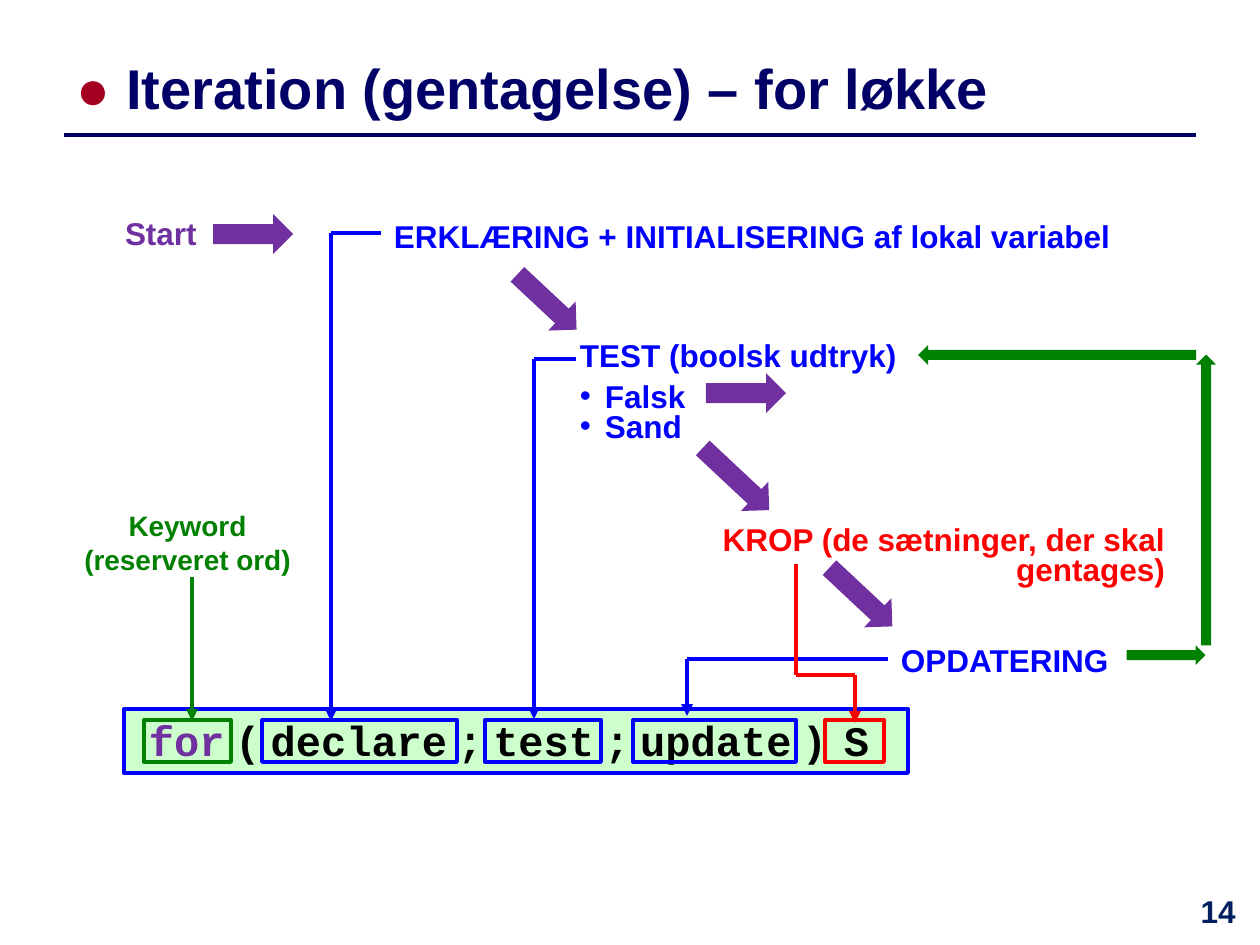
import pptx
import pptx.dml.color
import pptx.enum.shapes
import pptx.enum.text
import pptx.oxml.ns
import pptx.util
from lxml import etree

EMU_PER_PX = 914400 / 126
BLUE, RED, GREEN, PURPLE, NAVY = "0000FF", "FF0000", "008000", "7030A0", "000066"
BLACK = "000000"

# Each label: paragraphs, box (left, top, width, height), format
LABELS = [
    ([[("14", {})]], (1176, 882, 84, 63), dict(color="002060", align="CENTER")),
    ([[("TEST (boolsk udtryk)", {})], [("Falsk", {})], [("Sand", {})]],
     (567, 326, 496, 121), dict(color=BLUE, bullets=True)),
    ([[("KROP (de sætninger, der skal gentages)", {})]],
     (699, 517, 479, 87), dict(color=RED, align="RIGHT", spacing=0.8)),
    ([[("OPDATERING", {})]], (888, 631, 258, 49), dict(color=BLUE)),
    ([[("ERKLÆRING + INITIALISERING af lokal variabel", {})]],
     (381, 207, 746, 50), dict(color=BLUE)),
    ([[("Keyword (reserveret ord)", {})]],
     (66, 499, 243, 87), dict(color=GREEN, size=16, align="CENTER")),
    ([[("Start", {})]], (112, 204, 118, 49), dict(color=PURPLE)),
]
TITLE = [[("● ", {"color": "A50021"}), ("Iteration (gentagelse) – for løkke", {})]]

# Tokens of the for statement, with the size of the gap after each
TOKENS = [("for", 10), ("(", 10), ("declare", 10), (";", 10), ("test", 10),
          (";", 10), ("update", 10), (")", 16), ("S", 0)]

# Frames around the tokens: left, width, colour
FRAMES = [(144, 87, GREEN), (262, 195, BLUE), (485, 116, BLUE),
          (633, 163, BLUE), (825, 59, RED)]
FRAME_TOP, FRAME_HEIGHT = 720, 42

# Routes from the explanations down to the tokens
ROUTES = [
    (BLUE, [(381, 233), (331, 233), (331, 721)]),
    (BLUE, [(576, 359), (534, 359), (534, 719)]),
    (BLUE, [(888, 659), (687, 659), (687, 716)]),
    (RED, [(796, 564), (796, 675), (855, 675), (855, 723)]),
    (GREEN, [(192, 577), (192, 721)]),
]

# Block arrows: centre x, centre y, thickness, length, rotation, colour
RIGHT, LEFT, UP, DIAGONAL = 270, 90, 180, 313.1
BLOCK_ARROWS = [
    (253, 234, 40, 80, RIGHT, PURPLE),
    (547, 302, 40, 81, DIAGONAL, PURPLE),
    (746, 393, 40, 80, RIGHT, PURPLE),
    (736, 479, 40, 91, DIAGONAL, PURPLE),
    (861, 597, 40, 86, DIAGONAL, PURPLE),
    (1166, 655, 20, 79, RIGHT, GREEN),
    (1206, 500, 20, 291, UP, GREEN),
    (1057, 355, 20, 278, LEFT, GREEN),
]


def px(value):
    return pptx.util.Emu(round(value * EMU_PER_PX))


def rgb(value):
    return pptx.dml.color.RGBColor.from_string(value)


def add_child(parent, tag, **attributes):
    return etree.SubElement(parent, pptx.oxml.ns.qn(tag), attributes)


def write_text(shape, paragraphs, color=BLACK, size=18, font="Arial", align="LEFT",
               spacing=None, bullets=False, anchor="TOP", left=13, top=10):
    frame = shape.text_frame
    frame.word_wrap = True
    frame.vertical_anchor = getattr(pptx.enum.text.MSO_ANCHOR, anchor)
    frame.margin_left, frame.margin_right = px(left), px(13)
    frame.margin_top, frame.margin_bottom = px(top), px(6)
    for index, runs in enumerate(paragraphs):
        para = frame.add_paragraph() if index else frame.paragraphs[0]
        para.alignment = getattr(pptx.enum.text.PP_ALIGN, align)
        if spacing:
            para.line_spacing = spacing
        if bullets and index:
            para.line_spacing = 0.8
            para.space_before = pptx.util.Pt(6 if index == 1 else 0)
            properties = para._p.get_or_add_pPr()
            properties.set("marL", str(px(25)))
            properties.set("indent", str(px(-25)))
            add_child(properties, "a:buFont", typeface="Arial")
            add_child(properties, "a:buChar", char="•")
        for text, style in runs:
            span = para.add_run()
            span.text = text
            span.font.name = font
            span.font.bold = True
            span.font.size = pptx.util.Pt(style.get("size", size))
            span.font.color.rgb = rgb(style.get("color", color))


def add_label(page, paragraphs, bounds, **style):
    box = page.shapes.add_textbox(*map(px, bounds))
    write_text(box, paragraphs, **style)


def add_shape(page, preset, bounds, fill=None, line=None):
    kind = getattr(pptx.enum.shapes.MSO_SHAPE, preset)
    shape = page.shapes.add_shape(kind, *map(px, bounds))
    shape.shadow.inherit = False
    if fill:
        shape.fill.solid()
        shape.fill.fore_color.rgb = rgb(fill)
    else:
        shape.fill.background()
    if line:
        shape.line.color.rgb = rgb(line)
        shape.line.width = pptx.util.Pt(2.25)
    else:
        shape.line.fill.background()
    return shape


def add_line(page, start, end, color, width=2.25, arrow=False):
    line = page.shapes.add_connector(
        pptx.enum.shapes.MSO_CONNECTOR.STRAIGHT, *map(px, start + end))
    line.line.color.rgb = rgb(color)
    line.line.width = pptx.util.Pt(width)
    if arrow:
        add_child(line.line._get_or_add_ln(), "a:tailEnd", type="triangle")
    add_child(line._element.spPr, "a:effectLst")


def main():
    deck = pptx.Presentation()
    deck.slide_width, deck.slide_height = px(1260), px(945)
    page = deck.slides.add_slide(deck.slide_layouts[6])

    # Title and rule
    add_line(page, (64, 135), (1196, 135), NAVY, width=2)
    add_label(page, TITLE, (64, 35, 1132, 95), color=NAVY, size=32,
              anchor="MIDDLE", top=16)

    # The for statement
    statement = add_shape(page, "RECTANGLE", (124, 709, 784, 64), "CCFFCC", BLUE)
    runs = []
    for token, gap in TOKENS:
        runs.append((token, {"color": PURPLE if token == "for" else BLACK}))
        if gap:
            runs.append((" ", {"size": gap}))
    write_text(statement, [runs], size=24, font="Courier New", left=25, top=6)
    for left, width, color in FRAMES:
        add_shape(page, "RECTANGLE", (left, FRAME_TOP, width, FRAME_HEIGHT), line=color)

    # Explanations
    for paragraphs, bounds, style in LABELS:
        add_label(page, paragraphs, bounds, **style)

    # Routes, with a head on the last stretch
    for color, points in ROUTES:
        for start, end in zip(points, points[1:]):
            add_line(page, start, end, color, arrow=end == points[-1])

    # Order of execution
    for x, y, thickness, length, rotation, color in BLOCK_ARROWS:
        bounds = (x - thickness / 2, y - length / 2, thickness, length)
        add_shape(page, "DOWN_ARROW", bounds, fill=color).rotation = rotation

    deck.save("out.pptx")


if __name__ == "__main__":
    main()
